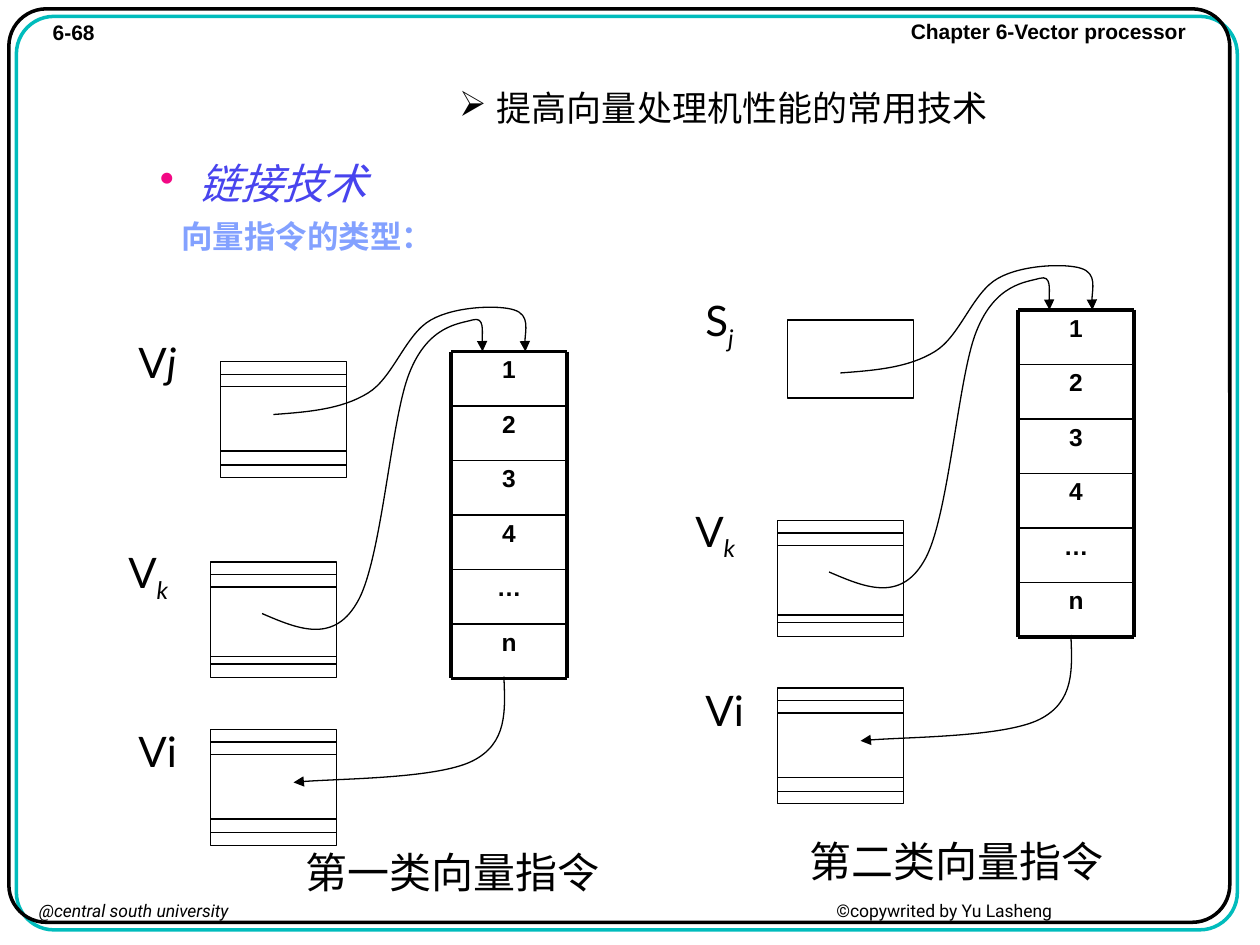
from dataclasses import dataclass

from lxml.etree import SubElement
from pptx import Presentation
from pptx.dml.color import RGBColor
from pptx.enum.shapes import MSO_CONNECTOR, MSO_SHAPE
from pptx.enum.text import MSO_ANCHOR, PP_ALIGN
from pptx.oxml.ns import qn
from pptx.util import Inches, Pt

BLACK = RGBColor(0x00, 0x00, 0x00)
TEAL = RGBColor(0x00, 0xBC, 0xBC)
PINK = RGBColor(0xF2, 0x08, 0x84)
INDIGO = RGBColor(0x48, 0x44, 0xEE)
LIGHT_BLUE = RGBColor(0x83, 0xA1, 0xFF)
CJK_FONT = "Noto Sans CJK SC"

STAGES = ["1", "2", "3", "4", "…", "n"]
PIPE_LEFT, PIPE_TOP, PIPE_WIDTH, STAGE_HEIGHT = 3.58, 2.79, 0.92, 0.4325
REGISTER_ROWS = (0.1, 0.2, 0.71, 0.82)

# Each curve is a start point followed by Bezier triples.
INPUT_CURVES = [
    [(2.17, 3.29), (2.44, 3.27), (2.71, 3.25), (2.92, 3.12), (3.12, 3), (3.22, 2.65),
     (3.42, 2.54), (3.61, 2.43), (3.96, 2.42), (4.08, 2.46), (4.21, 2.5), (4.15, 2.74),
     (4.17, 2.79)],
    [(2.08, 4.87), (2.36, 4.99), (2.64, 5.11), (2.83, 4.79), (3.03, 4.47), (3.1, 3.33),
     (3.25, 2.96), (3.4, 2.58), (3.65, 2.57), (3.75, 2.54), (3.85, 2.51), (3.82, 2.75),
     (3.83, 2.79)],
]
RESULT_CURVE = [(4, 5.37), (4.01, 5.64), (4.03, 5.9), (3.75, 6.04), (3.47, 6.18),
                (2.57, 6.18), (2.33, 6.21)]


@dataclass(frozen=True)
class Register:
    name: str
    index: str
    left: float
    top: float
    label_left: float
    label_top: float
    height: float = 0.92
    rows: tuple[float, ...] = REGISTER_ROWS
    subscript: bool = True


@dataclass(frozen=True)
class Instruction:
    registers: list[Register]
    dx: float
    dy: float


VK = Register("V", "k", 1.67, 4.46, 0.92, 4.29, rows=(0.1, 0.2, 0.75, 0.81))
VI = Register("Vi", "", 1.67, 5.79, 1, 5.71)
VJ = Register("V", "j", 1.75, 2.87, 1, 2.62, subscript=False)
SJ = Register("S", "j", 1.75, 2.87, 1, 2.62, height=0.62, rows=())
INSTRUCTIONS = [Instruction([VJ, VK, VI], 0, 0), Instruction([SJ, VK, VI], 4.5, -0.33)]


def style_paragraph(paragraph, size: float, font: str = CJK_FONT, color: RGBColor = BLACK,
                    bold: bool = False, italic: bool = False) -> None:
    paragraph.font.size = Pt(size)
    paragraph.font.bold = bold
    paragraph.font.italic = italic
    paragraph.font.color.rgb = color
    paragraph.font.name = font
    defaults = paragraph._p.pPr.find(qn("a:defRPr"))
    SubElement(defaults, qn("a:ea")).set("typeface", CJK_FONT)


def add_bullet(paragraph, character: str, color: RGBColor) -> None:
    properties = paragraph._p.get_or_add_pPr()
    bullet_color = SubElement(properties, qn("a:buClr"))
    SubElement(bullet_color, qn("a:srgbClr")).set("val", str(color))
    SubElement(properties, qn("a:buChar")).set("char", character)


def add_text_box(shapes, left: float, top: float, width: float, height: float,
                 text: str = "", wrap: bool = True):
    box = shapes.add_textbox(Inches(left), Inches(top), Inches(width), Inches(height))
    box.text_frame.word_wrap = wrap
    paragraph = box.text_frame.paragraphs[0]
    if text:
        paragraph.add_run().text = text
    return box.text_frame, paragraph


def add_outline(shapes, kind, left: float, top: float, width: float, height: float,
                weight: float, color: RGBColor = BLACK):
    shape = shapes.add_shape(kind, Inches(left), Inches(top), Inches(width), Inches(height))
    shape.shadow.inherit = False
    shape.fill.background()
    shape.line.color.rgb = color
    shape.line.width = Pt(weight)
    return shape


def add_line(shapes, x1: float, y1: float, x2: float, y2: float, weight: float) -> None:
    line = shapes.add_connector(MSO_CONNECTOR.STRAIGHT, Inches(x1), Inches(y1),
                                Inches(x2), Inches(y2))
    line.line.color.rgb = BLACK
    line.line.width = Pt(weight)
    SubElement(line._element.spPr, qn("a:effectLst"))


def add_curved_arrow(shapes, points: list[tuple[float, float]], dx: float, dy: float) -> None:
    """Build a freeform through all points, then join each three segments into a Bezier."""
    start, *others = [(Inches(x + dx), Inches(y + dy)) for x, y in points]
    builder = shapes.build_freeform(*start)
    builder.add_line_segments(others, close=False)
    curve = builder.convert_to_shape()
    outline = next(curve._element.iter(qn("a:path")))
    segments = outline.findall(qn("a:lnTo"))
    for first in range(0, len(segments), 3):
        bezier = SubElement(outline, qn("a:cubicBezTo"))
        for segment in segments[first:first + 3]:
            bezier.append(segment[0])
            outline.remove(segment)
    curve.shadow.inherit = False
    curve.fill.background()
    curve.line.color.rgb = BLACK
    curve.line.width = Pt(0.75)
    SubElement(curve._element.spPr.find(qn("a:ln")), qn("a:tailEnd")).set("type", "triangle")


def add_register(shapes, register: Register, dx: float, dy: float) -> None:
    left, top = register.left + dx, register.top + dy
    add_outline(shapes, MSO_SHAPE.RECTANGLE, left, top, 1, register.height, 0.75)
    for row in register.rows:
        add_line(shapes, left, top + row, left + 1, top + row, 0.75)
    _, paragraph = add_text_box(shapes, register.label_left + dx, register.label_top + dy,
                                0.67, 0.5, register.name)
    if register.index:
        run = paragraph.add_run()
        run.text = register.index
        run.font.italic = True
        if register.subscript:
            run._r.get_or_add_rPr().set("baseline", "-25000")
    style_paragraph(paragraph, 24, "Lato")


def add_pipeline(shapes, left: float, top: float) -> None:
    right, bottom = left + PIPE_WIDTH, top + len(STAGES) * STAGE_HEIGHT
    for number, stage in enumerate(STAGES):
        y = top + number * STAGE_HEIGHT
        _, paragraph = add_text_box(shapes, left, y, PIPE_WIDTH, STAGE_HEIGHT, stage)
        paragraph.alignment = PP_ALIGN.CENTER
        paragraph.line_spacing = 0.9
        style_paragraph(paragraph, 14, "Arial", bold=True)
        add_line(shapes, left, y, right, y, 1 if number else 2.25)
    add_line(shapes, left, bottom, right, bottom, 2.25)
    for x in (left, right):
        add_line(shapes, x, top, x, bottom, 2.25)


def add_instruction(slide, instruction: Instruction) -> None:
    shapes = slide.shapes.add_group_shape().shapes
    dx, dy = instruction.dx, instruction.dy
    for register in instruction.registers:
        add_register(shapes, register, dx, dy)
    add_pipeline(shapes, PIPE_LEFT + dx, PIPE_TOP + dy)
    for points in [*INPUT_CURVES, RESULT_CURVE]:
        add_curved_arrow(shapes, points, dx, dy)


def add_frame_and_footer(shapes) -> None:
    for offset, color in ((0.06, TEAL), (0, BLACK)):
        frame = add_outline(shapes, MSO_SHAPE.ROUNDED_RECTANGLE, 0.07 + offset,
                            0.07 + offset, 9.69, 7.25, 2, color)
        frame.adjustments[0] = 0.041
    for left, top, width, text in ((0.32, 0.11, 0.56, "6-68"),
                                   (7.13, 0.1, 2.39, "Chapter 6-Vector processor")):
        _, paragraph = add_text_box(shapes, left, top, width, 0.3, text, wrap=False)
        style_paragraph(paragraph, 12, "Arial", bold=True)
    _, footer = add_text_box(shapes, 0.21, 7.09, 9.58, 0.26, "@central south university")
    footer.runs[0].font.italic = True
    footer.add_run().text = "\t©copywrited by Yu Lasheng"
    tabs = SubElement(footer._p.get_or_add_pPr(), qn("a:tabLst"))
    tab = SubElement(tabs, qn("a:tab"))
    tab.set("pos", str(Inches(6.33)))
    tab.set("algn", "l")
    style_paragraph(footer, 10, "Roboto")


def add_headings(shapes) -> None:
    frame, title = add_text_box(shapes, 1.5, 0.25, 8.5, 1.25, " 提高向量处理机性能的常用技术")
    frame.vertical_anchor = MSO_ANCHOR.MIDDLE
    title.alignment = PP_ALIGN.CENTER
    title.line_spacing = 0.9
    add_bullet(title, "➢", BLACK)
    style_paragraph(title, 20)

    frame, topic = add_text_box(shapes, 1.17, 1.25, 8.5, 1.33, "链接技术")
    topic.line_spacing = 0.9
    properties = topic._p.get_or_add_pPr()
    properties.set("marL", str(Inches(0.31)))
    properties.set("indent", str(Inches(-0.31)))
    add_bullet(topic, "•", PINK)
    style_paragraph(topic, 24, "Arial", INDIGO, italic=True)

    subtopic = frame.add_paragraph()
    subtopic.add_run().text = "向量指令的类型："
    subtopic.line_spacing = 0.9
    subtopic.space_before = Pt(6.8)
    subtopic._p.get_or_add_pPr().set("marL", str(Inches(0.17)))
    style_paragraph(subtopic, 18, "Arial", LIGHT_BLUE, bold=True)


def main() -> None:
    presentation = Presentation()
    presentation.slide_width, presentation.slide_height = Inches(10), Inches(7.5)
    slide = presentation.slides.add_slide(presentation.slide_layouts[6])
    add_frame_and_footer(slide.shapes)
    add_headings(slide.shapes)
    for instruction in INSTRUCTIONS:
        add_instruction(slide, instruction)
    for left, top, text in ((2.33, 6.67, "第一类向量指令"), (6.33, 6.58, "第二类向量指令")):
        _, caption = add_text_box(slide.shapes, left, top, 2.58, 0.5, text)
        style_paragraph(caption, 24, "Lato")
    presentation.save("out.pptx")


if __name__ == "__main__":
    main()
